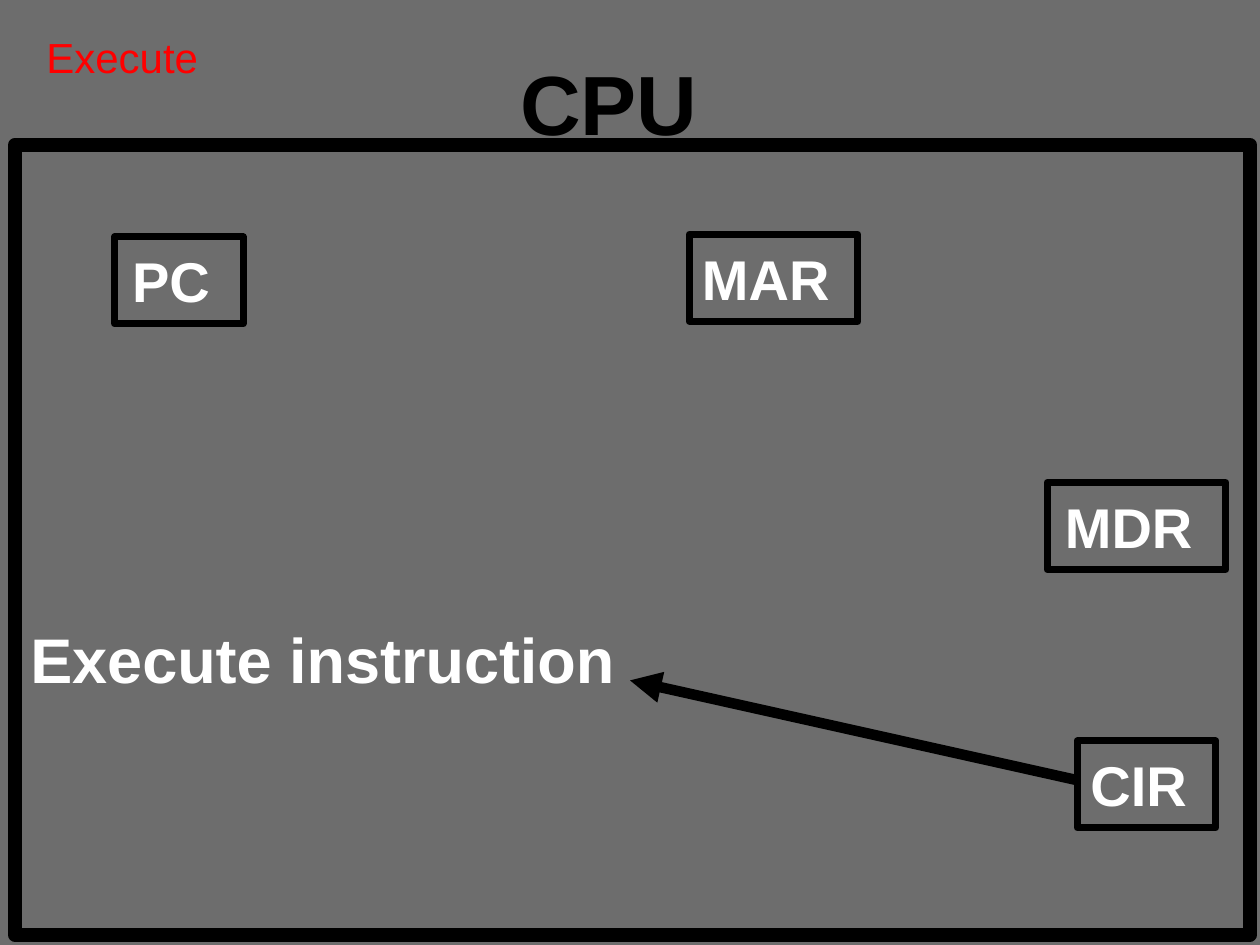
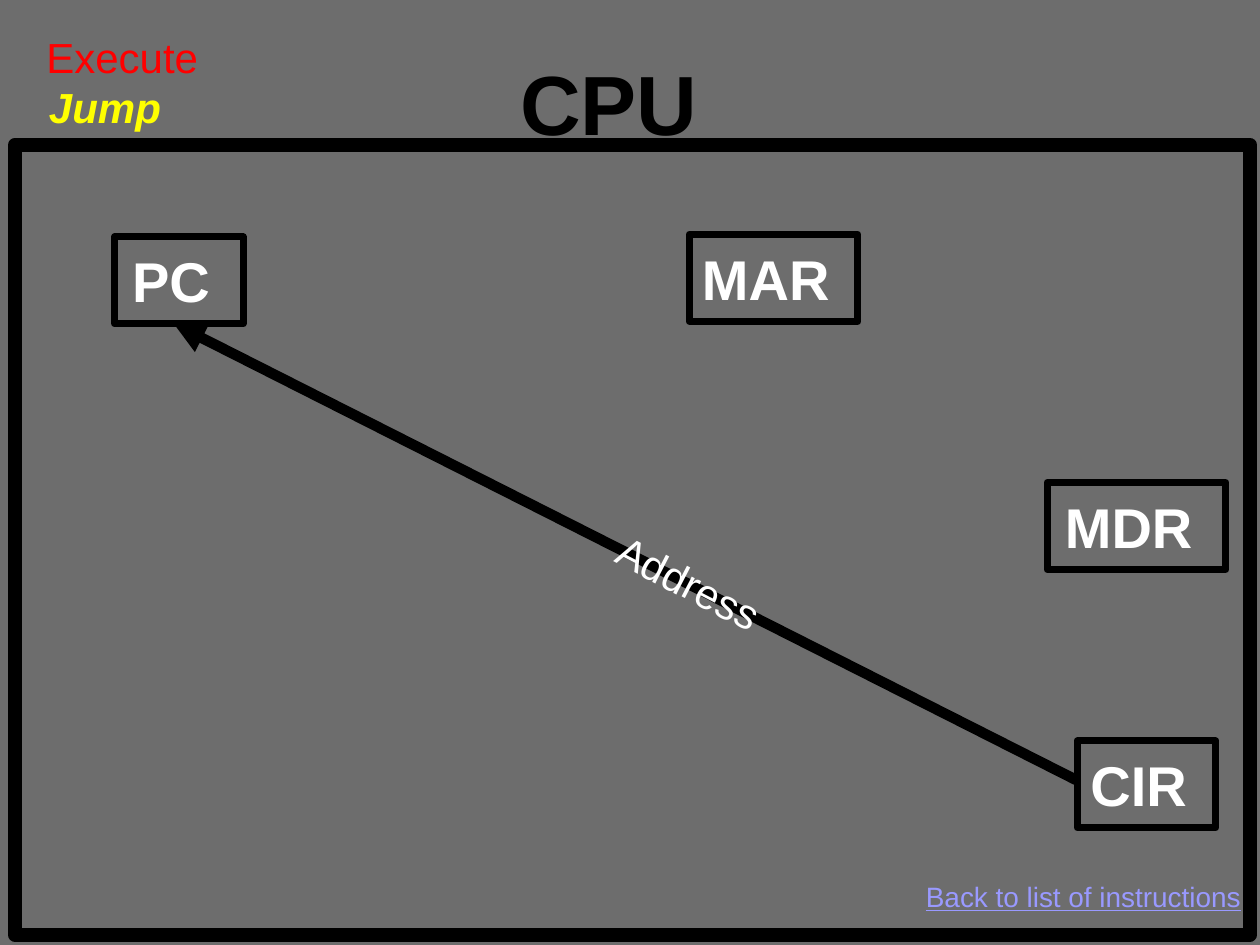
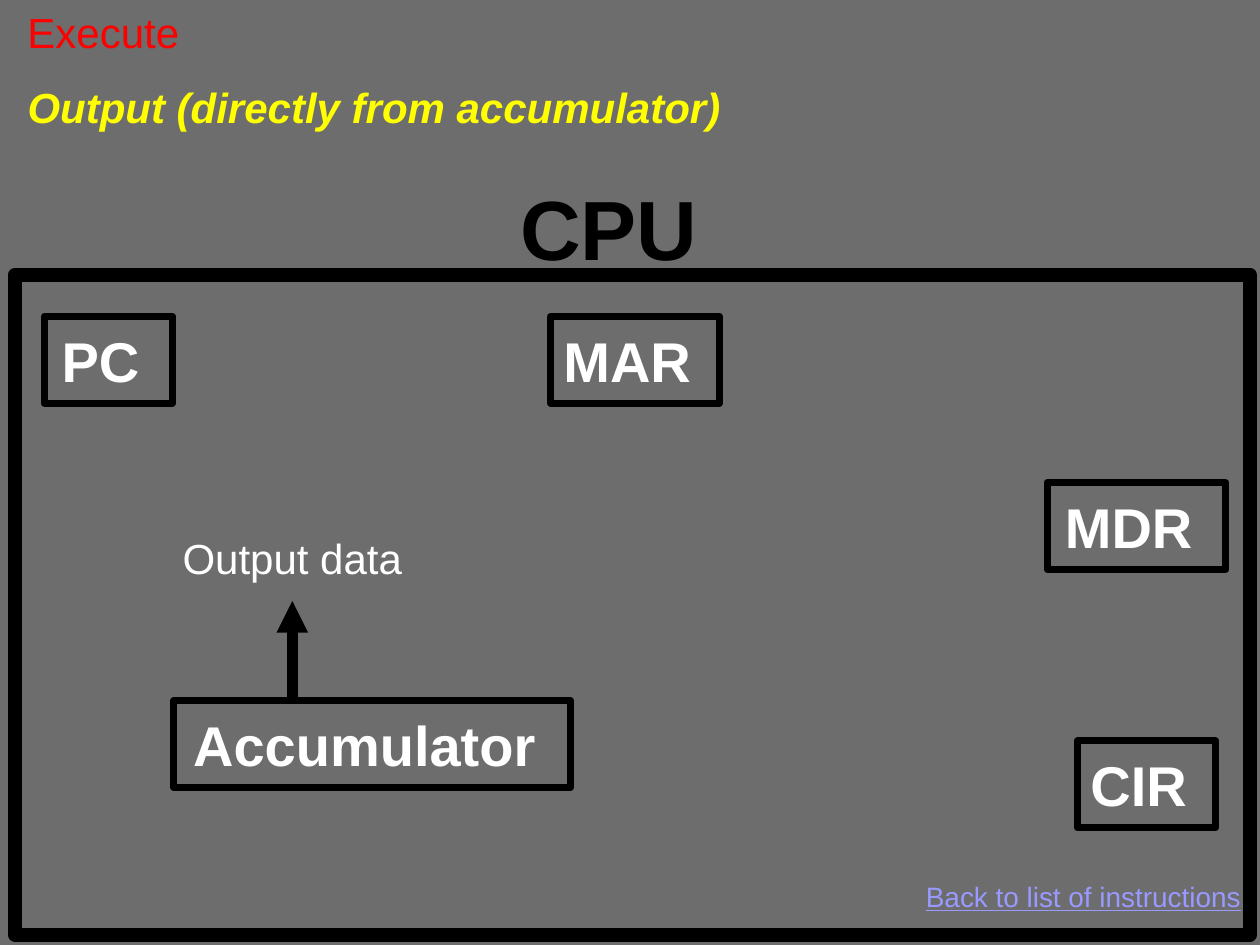
from pptx import Presentation
from pptx.dml.color import RGBColor
from pptx.enum.shapes import MSO_CONNECTOR, MSO_SHAPE
from pptx.enum.text import MSO_ANCHOR, MSO_AUTO_SIZE, PP_ALIGN
from pptx.oxml.ns import qn
from pptx.util import Inches, Pt
from lxml import etree

RECTANGLE = MSO_SHAPE.RECTANGLE
STRAIGHT = MSO_CONNECTOR.STRAIGHT
MIDDLE, TOP = MSO_ANCHOR.MIDDLE, MSO_ANCHOR.TOP
CENTER, LEFT = PP_ALIGN.CENTER, PP_ALIGN.LEFT
GROW = MSO_AUTO_SIZE.SHAPE_TO_FIT_TEXT

# Theme: colours, line widths and text formats
BLACK, WHITE = RGBColor(0, 0, 0), RGBColor(255, 255, 255)
THEME = {
    "background": RGBColor(0x6D, 0x6D, 0x6D),
    "font": "Arial",
    "lines": {"frame": Pt(8), "register": Pt(4), "arrow": Pt(6)},
    "text": {
        "title": ({"size": Pt(48), "bold": True}, BLACK),
        "register": ({"size": Pt(32), "bold": True}, WHITE),
        "action": ({"size": Pt(36), "bold": True}, WHITE),
        "data": ({"size": Pt(24)}, WHITE),
        "phase": ({"size": Pt(24)}, RGBColor(255, 0, 0)),
        "instruction": ({"size": Pt(24), "bold": True, "italic": True}, RGBColor(255, 255, 0)),
        "back": ({"size": Pt(16), "underline": True}, RGBColor(0x99, 0x99, 0xFF)),
    },
}
LEFT_ALIGNED = ("phase", "instruction", "back")

deck = Presentation()
deck.slide_width, deck.slide_height = Inches(10), Inches(7.5)
background = deck.slide_master.background.fill
background.solid()
background.fore_color.rgb = THEME["background"]

# Grid: 10 columns by 7.5 rows
COLUMN, ROW = deck.slide_width / 10, deck.slide_height / 7.5


def on_grid(*lengths):
    """Turn alternating columns and rows into slide lengths."""
    return [round(length * (ROW if i % 2 else COLUMN)) for i, length in enumerate(lengths)]


def add_box(page, style, place, text="", turn=0):
    """Add an outlined rectangle or a plain text box in one of the theme's styles."""
    if style in THEME["lines"]:
        box = page.shapes.add_shape(RECTANGLE, *on_grid(*place))
        box.shadow.inherit = False
        box.fill.background()
        box.line.color.rgb = BLACK
        box.line.width = THEME["lines"][style]
    else:
        box = page.shapes.add_textbox(*on_grid(*place))
    box.rotation = turn
    if not text:
        return
    free = style in LEFT_ALIGNED
    frame_format = {"word_wrap": not free, "auto_size": GROW,
                    "vertical_anchor": TOP if free else MIDDLE}
    for name, value in frame_format.items():
        setattr(box.text_frame, name, value)
    para = box.text_frame.paragraphs[0]
    para.alignment = LEFT if free else CENTER
    span = para.add_run()
    span.text = text
    font_format, color = THEME["text"][style]
    for name, value in {"name": THEME["font"], **font_format}.items():
        setattr(span.font, name, value)
    span.font.color.rgb = color


# Shared parts
FRAME_LEFT, FRAME_WIDTH, FRAME_BOTTOM = 0.12, 9.8, 7.42
REGISTER_HEIGHT = 0.69
REGISTER_WIDTHS = {"PC": 1.02, "MAR": 1.34, "MDR": 1.42, "CIR": 1.1, "Accumulator": 3.15}
REGISTERS = {"PC": (0.91, 1.88), "MAR": (5.47, 1.86), "MDR": (8.31, 3.83), "CIR": (8.55, 5.88)}
CIR_EDGE = (8.54, 6.19)
PHASE = ("phase", (0.27, 0.2, 1.5, 0.5), "Execute ")
BACK = ("back", (7.25, 6.93, 2.71, 0.37), "Back to list of instructions")

# What differs from slide to slide
PAGES = [
    {
        "frame_top": 1.15, "title_top": 0.36, "registers": REGISTERS,
        "arrow": (*CIR_EDGE, 5, 5.4),
        "texts": [PHASE, ("action", (0.12, 4.87, 4.88, 0.71), "Execute instruction")],
    },
    {
        "frame_top": 1.15, "title_top": 0.36, "registers": REGISTERS,
        "arrow": (*CIR_EDGE, 1.38, 2.57),
        "texts": [PHASE, BACK,
                  ("data", (2.9, 4.37, 5.14, 0.5), "Address", 27.4),
                  ("instruction", (0.29, 0.6, 1.09, 0.5), "Jump")],
    },
    {
        "frame_top": 2.18, "title_top": 1.35,
        "registers": {**REGISTERS, "PC": (0.35, 2.51), "MAR": (4.37, 2.51),
                      "Accumulator": (1.38, 5.56)},
        "arrow": (2.32, 5.56, 2.32, 4.77),
        "texts": [("phase", (0.12, 0, 1.5, 0.5), "Execute "), BACK,
                  ("data", (0.59, 4.18, 3.46, 0.5), "Output data"),
                  ("instruction", (0.12, 0.6, 5.79, 0.5),
                   "Output (directly from accumulator) ")],
    },
]

for content in PAGES:
    page = deck.slides.add_slide(deck.slide_layouts[6])

    # CPU frame and title
    top = content["frame_top"]
    add_box(page, "frame", (FRAME_LEFT, top, FRAME_WIDTH, FRAME_BOTTOM - top))
    add_box(page, "title", (3.98, content["title_top"], 1.89, 0.9), "CPU ")

    # Data flow arrow
    arrow = page.shapes.add_connector(STRAIGHT, *on_grid(*content["arrow"]))
    arrow.line.color.rgb = BLACK
    arrow.line.width = THEME["lines"]["arrow"]
    etree.SubElement(arrow.line._get_or_add_ln(), qn("a:tailEnd"), type="triangle")
    etree.SubElement(arrow._element.spPr, qn("a:effectLst"))

    # Registers
    for name, (left, top) in content["registers"].items():
        place = (left, top, REGISTER_WIDTHS[name], REGISTER_HEIGHT)
        add_box(page, "register", place, name + " ")

    # Labels
    for label in content["texts"]:
        add_box(page, *label)

deck.save("out.pptx")
